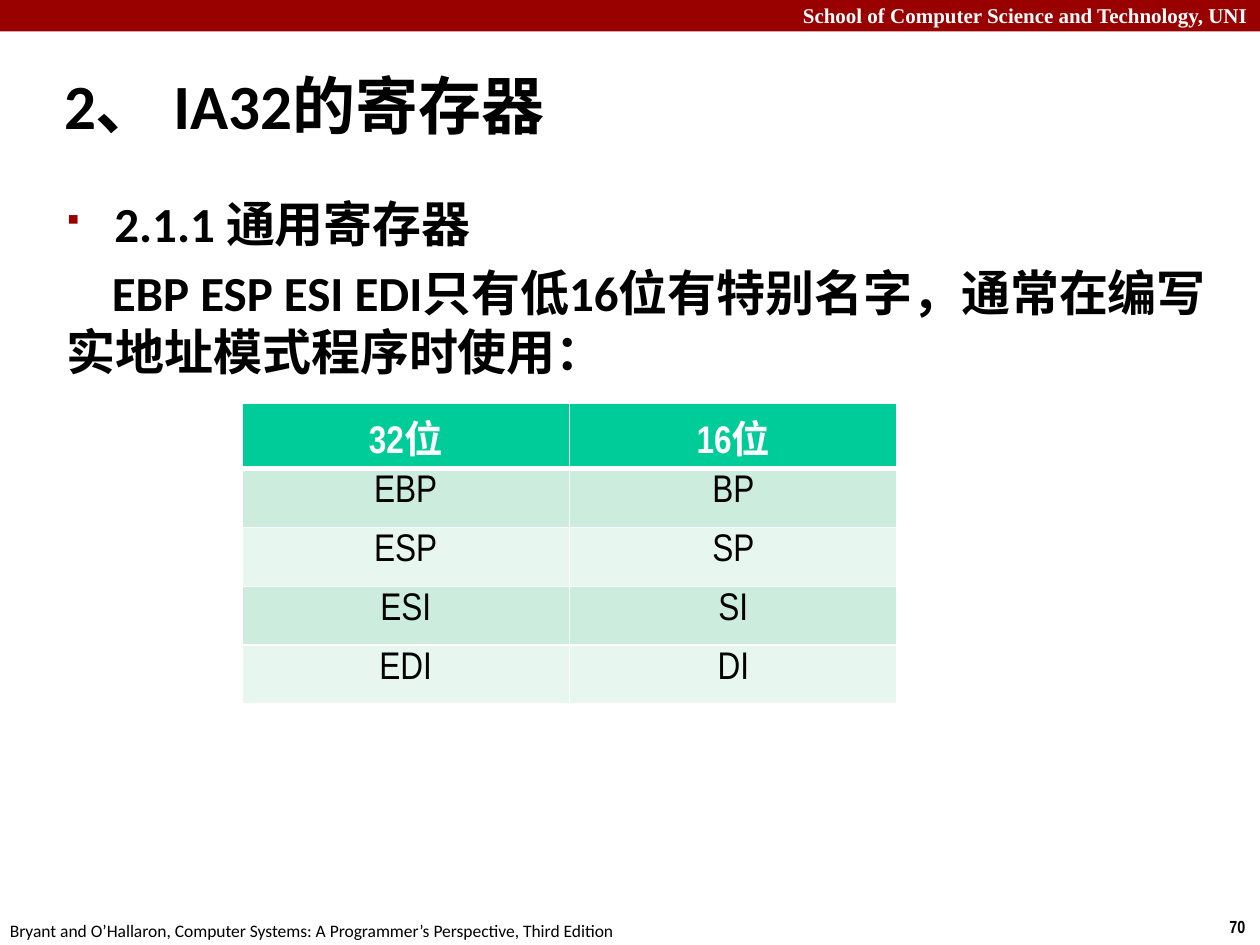
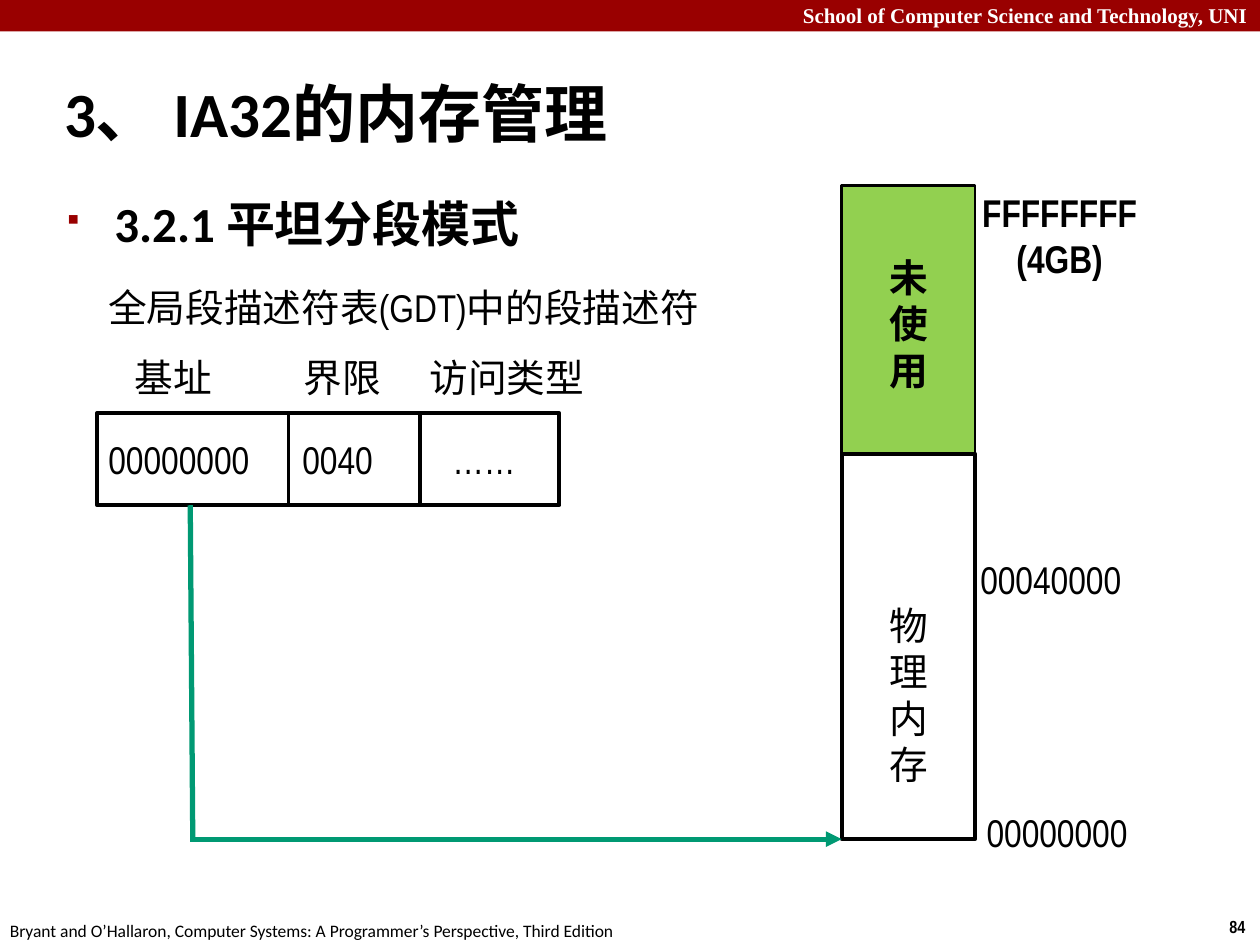
from lxml import etree
from pptx import Presentation
from pptx.dml.color import RGBColor
from pptx.enum.shapes import MSO_CONNECTOR, MSO_SHAPE
from pptx.enum.text import MSO_ANCHOR, PP_ALIGN
from pptx.oxml.ns import qn
from pptx.util import Inches, Pt

LEFT, CENTER, RIGHT = PP_ALIGN.LEFT, PP_ALIGN.CENTER, PP_ALIGN.RIGHT
TOP, MIDDLE, BOTTOM = MSO_ANCHOR.TOP, MSO_ANCHOR.MIDDLE, MSO_ANCHOR.BOTTOM
RECTANGLE, STRAIGHT = MSO_SHAPE.RECTANGLE, MSO_CONNECTOR.STRAIGHT

BLACK = RGBColor(0x00, 0x00, 0x00)
WHITE = RGBColor(0xFF, 0xFF, 0xFF)
CRIMSON = RGBColor(0x99, 0x00, 0x00)
HEADER_GREEN = RGBColor(0x00, 0xCC, 0x99)
BAND_DARK = RGBColor(0xCC, 0xEC, 0xDE)
BAND_LIGHT = RGBColor(0xE7, 0xF6, 0xEF)
UNUSED_GREEN = RGBColor(0x92, 0xD0, 0x50)
ARROW_GREEN = RGBColor(0x00, 0x99, 0x73)

HEADING_FONT, DIAGRAM_FONT, BAND_FONT = "Calibri", "Arial Narrow", "Times New Roman"
COLUMNS, ROWS = 100, 75
SCHOOL = "School of Computer Science and Technology, UNI"
BOOK = "Bryant and O’Hallaron, Computer Systems: A Programmer’s Perspective, Third Edition"


def grid(units):
    """Length of a number of grid units; columns and rows are equally large."""
    return Inches(units / 10)


def write(frame, text, size=22.1, font=DIAGRAM_FONT, color=BLACK, bold=False,
          align=LEFT, before=0):
    """Fill a text frame, one paragraph for each line of the text."""
    for index, line in enumerate(text.split("\n")):
        paragraph = frame.paragraphs[0] if index == 0 else frame.add_paragraph()
        paragraph.alignment = align
        paragraph.space_before = Pt(before)
        run = paragraph.add_run()
        run.text = line
        run.font.size, run.font.name = Pt(size), font
        run.font.bold, run.font.color.rgb = bold, color
    return frame.paragraphs


class Deck:
    def __init__(self):
        self.presentation = Presentation()
        self.presentation.slide_width = grid(COLUMNS)
        self.presentation.slide_height = grid(ROWS)
        self.slide = None

    def frame(self, shape, anchor, insets, wrap):
        text_frame = shape.text_frame
        text_frame.word_wrap, text_frame.vertical_anchor = wrap, anchor
        (text_frame.margin_left, text_frame.margin_top,
         text_frame.margin_right, text_frame.margin_bottom) = map(grid, insets)
        return text_frame

    def text(self, box, text, anchor=MIDDLE, insets=(1, 0.5, 1, 0.5), wrap=True, **style):
        shape = self.slide.shapes.add_textbox(*map(grid, box))
        return write(self.frame(shape, anchor, insets, wrap), text, **style)

    def label(self, box, text, **style):
        self.text(box, text, insets=(0.9, 0.4, 0.9, 0.4), **style)

    def box(self, box, text="", fill=None, line=None, width=2.25, anchor=MIDDLE,
            insets=(0.9, 0.4, 0.9, 0.4), **style):
        shape = self.slide.shapes.add_shape(RECTANGLE, *map(grid, box))
        shape.shadow.inherit = False
        if fill is None:
            shape.fill.background()
        else:
            shape.fill.solid()
            shape.fill.fore_color.rgb = fill
        if line is None:
            shape.line.fill.background()
        else:
            shape.line.color.rgb, shape.line.width = line, Pt(width)
        if text:
            write(self.frame(shape, anchor, insets, True), text, **style)

    def line(self, start, end, color=BLACK, width=2.25, arrow=False):
        connector = self.slide.shapes.add_connector(STRAIGHT, *map(grid, start + end))
        connector.line.color.rgb, connector.line.width = color, Pt(width)
        if arrow:
            etree.SubElement(connector.line._get_or_add_ln(), qn("a:tailEnd"), type="triangle")
        etree.SubElement(connector._element.spPr, qn("a:effectLst"))

    def bullet(self, paragraph):
        properties = paragraph._p.get_or_add_pPr()
        properties.set("marL", str(grid(3.8)))
        properties.set("indent", str(-grid(3.8)))
        color = etree.SubElement(properties, qn("a:buClr"))
        etree.SubElement(color, qn("a:srgbClr"), val=str(CRIMSON))
        etree.SubElement(properties, qn("a:buSzPct"), val="60000")
        etree.SubElement(properties, qn("a:buFont"), typeface="Wingdings", charset="2")
        etree.SubElement(properties, qn("a:buChar"), char="§")

    def body(self, text):
        paragraphs = self.text((4.3, 14.9, 94, 57.6), text, anchor=TOP, size=28,
                               font=HEADING_FONT, bold=True, before=5.6)
        self.bullet(paragraphs[0])
        for paragraph in paragraphs[1:]:
            paragraph._p.get_or_add_pPr().set("indent", str(grid(3.6)))

    def rule_below(self, cell, color, width):
        border = etree.Element(qn("a:lnB"), w=str(Pt(width)))
        fill = etree.SubElement(border, qn("a:solidFill"))
        etree.SubElement(fill, qn("a:srgbClr"), val=str(color))
        cell._tc.get_or_add_tcPr().insert(0, border)

    def table(self, box, header_height, rows):
        shape = self.slide.shapes.add_table(len(rows), len(rows[0]), *map(grid, box))
        table = shape.table
        table.horz_banding = False
        row_height = (box[3] - header_height) / (len(rows) - 1)
        for row_index, row in enumerate(rows):
            header = row_index == 0
            band = BAND_DARK if row_index % 2 else BAND_LIGHT
            table.rows[row_index].height = grid(header_height if header else row_height)
            for column_index, value in enumerate(row):
                cell = table.cell(row_index, column_index)
                cell.fill.solid()
                cell.fill.fore_color.rgb = HEADER_GREEN if header else band
                if header:
                    self.rule_below(cell, WHITE, 3)
                write(cell.text_frame, value, size=22, bold=header, align=CENTER,
                      color=WHITE if header else BLACK)

    def new_slide(self, title, number, title_anchor):
        self.slide = self.presentation.slides.add_slide(self.presentation.slide_layouts[6])
        # Top band
        self.box((0, 0, COLUMNS, 2.5), fill=CRIMSON)
        self.text((0, -0.3, COLUMNS, 3), SCHOOL, size=12, font=BAND_FONT,
                  color=WHITE, bold=True, align=RIGHT)
        # Footer
        self.text((96.6, 72.2, 3.4, 2.7), number, wrap=False, size=10, bold=True)
        self.text((-0.2, 72.5, 52, 2.7), BOOK, size=10, font=HEADING_FONT)
        # Title
        self.text((4.1, 4.1, 95.8, 8.3), title, anchor=title_anchor, size=36,
                  font=HEADING_FONT, bold=True)


def build_registers(deck):
    deck.new_slide("2、 IA32的寄存器", "70", MIDDLE)
    deck.body("2.1.1 通用寄存器\n"
              "EBP ESP ESI EDI只有低16位有特别名字，通常在编写实地址模式程序时使用：")
    registers = ["EBP", "ESP", "ESI", "EDI"]
    rows = [("32位", "16位")] + [(name, name[1:]) for name in registers]
    deck.table((19.2, 32, 52, 23.6), 5.2, rows)


def build_memory(deck):
    deck.new_slide("3、 IA32的内存管理", "84", BOTTOM)
    deck.body("3.2.1 平坦分段模式")

    # Memory column
    memory_left, memory_width, memory_split, memory_end = 66.8, 10.6, 36, 66.6
    deck.box((memory_left, 14.7, memory_width, 21.9), "未\n使\n用", fill=UNUSED_GREEN,
             line=BLACK, width=1.5, bold=True, align=CENTER)
    deck.box((memory_left, memory_split, memory_width, memory_end - memory_split),
             "物\n理\n内\n存", fill=WHITE, line=BLACK, anchor=BOTTOM,
             insets=(0.9, 0.4, 0.9, 4.1), align=CENTER)
    deck.line((memory_left, memory_split), (memory_left + memory_width, memory_split))

    # Memory addresses
    deck.label((76.1, 14.8, 16, 7.7), "FFFFFFFF\n(4GB)", bold=True, align=CENTER)
    deck.label((76.9, 43.6, 15, 4.7), "00040000")
    deck.label((77.4, 63.7, 15, 4.7), "00000000")

    # Segment descriptor: heading, heading left, value, value left
    deck.label((7.7, 21.4, 52, 6), "全局段描述符表(GDT)中的段描述符")
    top, height = 32.8, 7.3
    deck.box((7.7, top, 36.7, height), line=BLACK)
    for divider in (22.9, 33.3):
        deck.line((divider, top), (divider, top + height))
    fields = [
        ("基址", 9.8, "00000000", 7.7),
        ("界限", 23.2, "0040", 23.1),
        ("访问类型", 33.2, "……", 35),
    ]
    for heading, heading_left, value, value_left in fields:
        deck.label((heading_left, 27.8, 16, 4.4), heading, anchor=BOTTOM)
        deck.label((value_left, top, 15, height), value)

    # Arrow from the base address to the start of memory
    deck.line((15.1, top + height), (15.3, memory_end), ARROW_GREEN, 3)
    deck.line((15.1, memory_end), (memory_left, memory_end), ARROW_GREEN, 3, arrow=True)


def main():
    deck = Deck()
    build_registers(deck)
    build_memory(deck)
    deck.presentation.save("out.pptx")


if __name__ == "__main__":
    main()
